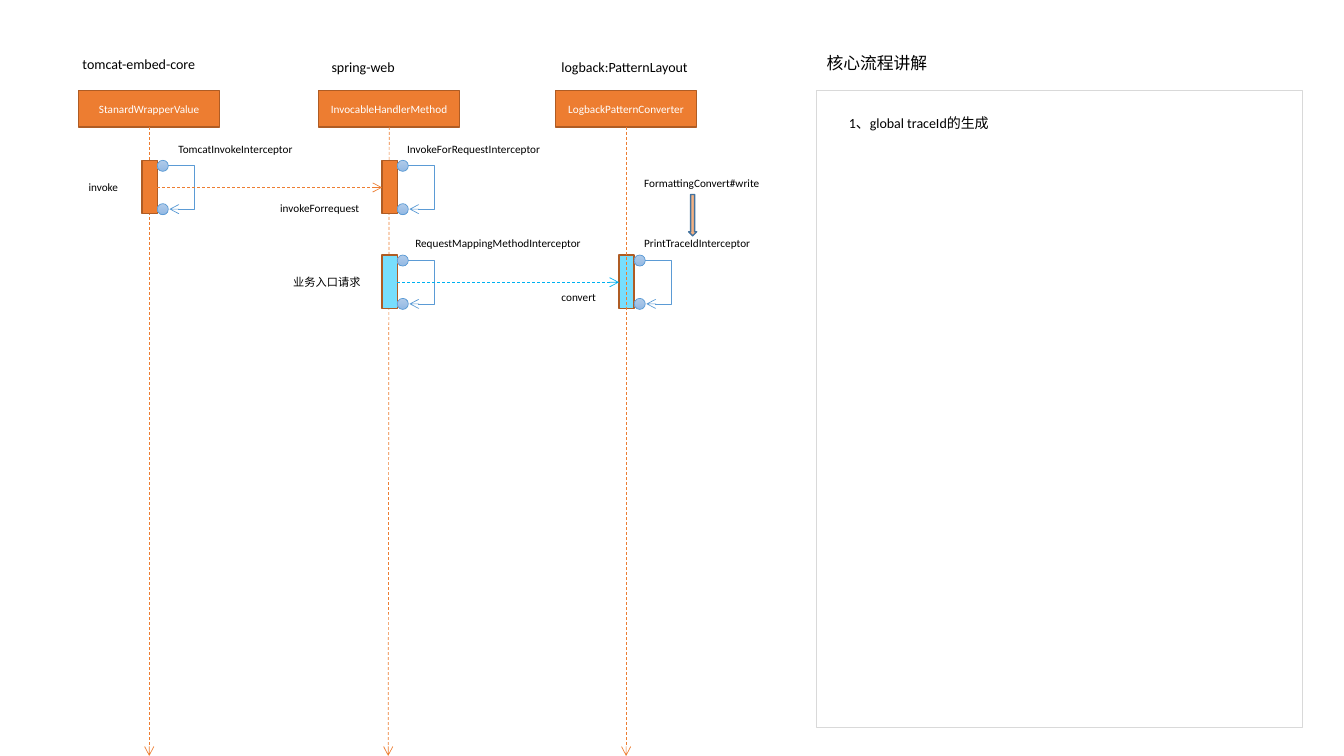
"""Build a sequence diagram of trace id interception with a notes panel."""
from dataclasses import dataclass

from lxml.etree import SubElement
from pptx import Presentation
from pptx.dml.color import RGBColor as Rgb
from pptx.enum.dml import MSO_LINE_DASH_STYLE as Dash
from pptx.enum.shapes import MSO_CONNECTOR as Link, MSO_SHAPE as Geometry
from pptx.enum.text import MSO_ANCHOR as Anchor, MSO_AUTO_SIZE as AutoSize, PP_ALIGN as Align
from pptx.oxml.ns import qn
from pptx.shapes.autoshape import Shape
from pptx.shapes.connector import Connector
from pptx.shapes.shapetree import SlideShapes
from pptx.text.text import TextFrame
from pptx.util import Inches, Pt


@dataclass(frozen=True)
class Theme:
    """Colours, font and sizes of the diagram."""
    orange: str = "ED7D31"
    orange_edge: str = "AF5C24"
    cyan: str = "77DEFD"
    cyan_line: str = "00B0F0"
    blue: str = "5B9BD5"
    dot_top: str = "B1CBE9"
    dot_bottom: str = "93B9E4"
    peach: str = "F4B183"
    navy: str = "43739E"
    panel_edge: str = "D9D9D9"
    white: str = "FFFFFF"
    black: str = "000000"
    font: str = "Calibri"
    small: float = 8
    medium: float = 10
    large: float = 12
    thin: float = 0.5
    edge: float = 1


THEME = Theme()


@dataclass(frozen=True)
class Participant:
    """A class with its header box and lifeline."""
    title: str
    axis: float
    foot: float
    in_front: bool = False


@dataclass(frozen=True)
class Activation:
    """An activation bar with its interceptor loop."""
    axis: float
    top: float
    fill: str


@dataclass(frozen=True)
class Message:
    """A dashed call between two activation bars."""
    start: float
    end: float
    y: float
    color: str


@dataclass(frozen=True)
class Label:
    """A free text on the slide."""
    text: str
    left: float
    top: float
    width: float
    height: float = 0.23
    size: float = THEME.small
    wrap: bool = False


TOMCAT, SPRING, LOGBACK = 1.48, 3.86, 6.21
HEADER_TOP, HEADER_WIDTH, HEADER_HEIGHT = 0.9, 1.4, 0.36
BAR_OFFSET, BAR_WIDTH, BAR_HEIGHT = 0.07, 0.15, 0.53
DOT, LOOP_REACH, LOOP_RUN = 0.11, 0.26, 0.01
FIRST_ROW, SECOND_ROW = 1.59, 2.53

PARTICIPANTS = (
    Participant("StanardWrapperValue", TOMCAT, TOMCAT),
    Participant("InvocableHandlerMethod", SPRING, 3.85),
    Participant("LogbackPatternConverter", LOGBACK, LOGBACK, in_front=True),
)
ACTIVATIONS = (
    Activation(TOMCAT, FIRST_ROW, THEME.orange),
    Activation(SPRING, FIRST_ROW, THEME.orange),
    Activation(SPRING, SECOND_ROW, THEME.cyan),
    Activation(LOGBACK, SECOND_ROW, THEME.cyan),
)
MESSAGES = (
    Message(TOMCAT, SPRING, 1.86, THEME.orange),
    Message(SPRING, LOGBACK, 2.8, THEME.cyan_line),
)
LABELS = (
    Label("tomcat-embed-core", 0.72, 0.5, 1.33, 0.27, THEME.medium),
    Label("spring-web", 3.19, 0.53, 0.83, 0.27, THEME.medium),
    Label("logback:PatternLayout", 5.47, 0.53, 1.47, 0.27, THEME.medium),
    Label("invoke", 0.78, 1.74, 0.5),
    Label("TomcatInvokeInterceptor", 1.67, 1.36, 1.35),
    Label("invokeForrequest", 2.68, 1.95, 1),
    Label("InvokeForRequestInterceptor", 3.94, 1.36, 1.53),
    Label("FormattingConvert#write", 6.29, 1.7, 1.35),
    Label("业务入口请求", 2.81, 2.68, 0.87),
    Label("RequestMappingMethodInterceptor", 4.02, 2.3, 1.85),
    Label("PrintTraceIdInterceptor", 6.29, 2.3, 1.27),
    Label("convert", 5.47, 2.83, 0.55),
    Label("核心流程讲解", 8.1, 0.47, 1.2, 0.3, THEME.large),
    Label("1、global traceId的生成", 8.32, 1.09, 1.6, 0.27, THEME.medium, wrap=True),
)


def write(frame: TextFrame, text: str, size: float, color: str) -> None:
    """Add one styled run to the first paragraph."""
    run = frame.paragraphs[0].add_run()
    run.text = text
    run.font.name, run.font.size = THEME.font, Pt(size)
    run.font.color.rgb = Rgb.from_string(color)


def add_block(shapes: SlideShapes, geometry: Geometry, left: float, top: float, width: float,
              height: float, fill: str, edge: str, weight: float = THEME.edge) -> Shape:
    """Add a filled and outlined preset shape."""
    block = shapes.add_shape(geometry, Inches(left), Inches(top), Inches(width), Inches(height))
    block.shadow.inherit = False
    block.fill.solid()
    block.fill.fore_color.rgb = Rgb.from_string(fill)
    block.line.color.rgb = Rgb.from_string(edge)
    block.line.width = Pt(weight)
    return block


def add_arrow(shapes: SlideShapes, kind: Link, start: tuple[float, float],
              end: tuple[float, float], color: str) -> Connector:
    """Add a thin connector with an open arrowhead at its end."""
    arrow = shapes.add_connector(kind, *map(Inches, start + end))
    arrow.line.color.rgb = Rgb.from_string(color)
    arrow.line.width = Pt(THEME.thin)
    SubElement(arrow.line._get_or_add_ln(), qn("a:tailEnd"), type="arrow")
    SubElement(arrow._element.spPr, qn("a:effectLst"))
    return arrow


def add_dashed_arrow(shapes: SlideShapes, start: tuple[float, float],
                     end: tuple[float, float], color: str) -> None:
    """Add a straight dashed arrow."""
    add_arrow(shapes, Link.STRAIGHT, start, end, color).line.dash_style = Dash.DASH


def add_header(shapes: SlideShapes, participant: Participant) -> None:
    """Add the titled box of a participant."""
    header = add_block(shapes, Geometry.RECTANGLE, participant.axis - HEADER_WIDTH / 2, HEADER_TOP,
                       HEADER_WIDTH, HEADER_HEIGHT, THEME.orange, THEME.orange_edge)
    frame = header.text_frame
    frame.word_wrap = False
    frame.vertical_anchor = Anchor.MIDDLE
    frame.paragraphs[0].alignment = Align.CENTER
    write(frame, participant.title, THEME.small, THEME.white)


def add_lifelines(shapes: SlideShapes, in_front: bool) -> None:
    """Add the lifelines of one layer."""
    for participant in PARTICIPANTS:
        if participant.in_front == in_front:
            add_dashed_arrow(shapes, (participant.axis, HEADER_TOP + HEADER_HEIGHT),
                             (participant.foot, 7.5), THEME.orange)


def add_activation(shapes: SlideShapes, activation: Activation) -> None:
    """Add a bar, its two dots and the loop joining them."""
    left, top = activation.axis - BAR_OFFSET, activation.top
    add_block(shapes, Geometry.RECTANGLE, left, top, BAR_WIDTH, BAR_HEIGHT,
              activation.fill, THEME.orange_edge)
    dot_left = left + BAR_WIDTH
    first, last = top, top + BAR_HEIGHT - DOT + 0.01
    for dot_top in (first, last):
        dot = add_block(shapes, Geometry.OVAL, dot_left, dot_top, DOT, DOT,
                        THEME.dot_top, THEME.blue, THEME.thin)
        dot.fill.gradient()
        dot.fill.gradient_angle = 270
        for stop, color in zip(dot.fill.gradient_stops, (THEME.dot_top, THEME.dot_bottom)):
            stop.color.rgb = Rgb.from_string(color)
    x = dot_left + DOT
    loop = add_arrow(shapes, Link.ELBOW, (x, first + DOT / 2),
                     (x + LOOP_RUN, last + DOT / 2), THEME.blue)
    bend = round(LOOP_REACH / LOOP_RUN * 100000)
    SubElement(loop._element.spPr.prstGeom.get_or_add_avLst(), qn("a:gd"),
               name="adj1", fmla=f"val {bend}")


def add_label(shapes: SlideShapes, label: Label) -> None:
    """Add a text box."""
    frame = shapes.add_textbox(*map(Inches, (label.left, label.top, label.width,
                                             label.height))).text_frame
    frame.word_wrap = label.wrap
    frame.auto_size = AutoSize.SHAPE_TO_FIT_TEXT
    write(frame, label.text, label.size, THEME.black)


def main() -> None:
    """Draw the slide and save it."""
    deck = Presentation()
    deck.slide_width, deck.slide_height = Inches(13.33), Inches(7.5)
    shapes = deck.slides.add_slide(deck.slide_layouts[6]).shapes
    for participant in PARTICIPANTS:
        add_header(shapes, participant)
    add_lifelines(shapes, in_front=False)
    for activation in ACTIVATIONS:
        add_activation(shapes, activation)
    add_lifelines(shapes, in_front=True)
    for call in MESSAGES:
        add_dashed_arrow(shapes, (call.start - BAR_OFFSET + BAR_WIDTH, call.y),
                         (call.end - BAR_OFFSET, call.y), call.color)
    add_block(shapes, Geometry.DOWN_ARROW, 6.83, 1.93, 0.08, 0.41, THEME.peach, THEME.navy)
    add_block(shapes, Geometry.RECTANGLE, 8.1, 0.9, 4.82, 6.32, THEME.white, THEME.panel_edge)
    for label in LABELS:
        add_label(shapes, label)
    deck.save("out.pptx")


if __name__ == "__main__":
    main()
